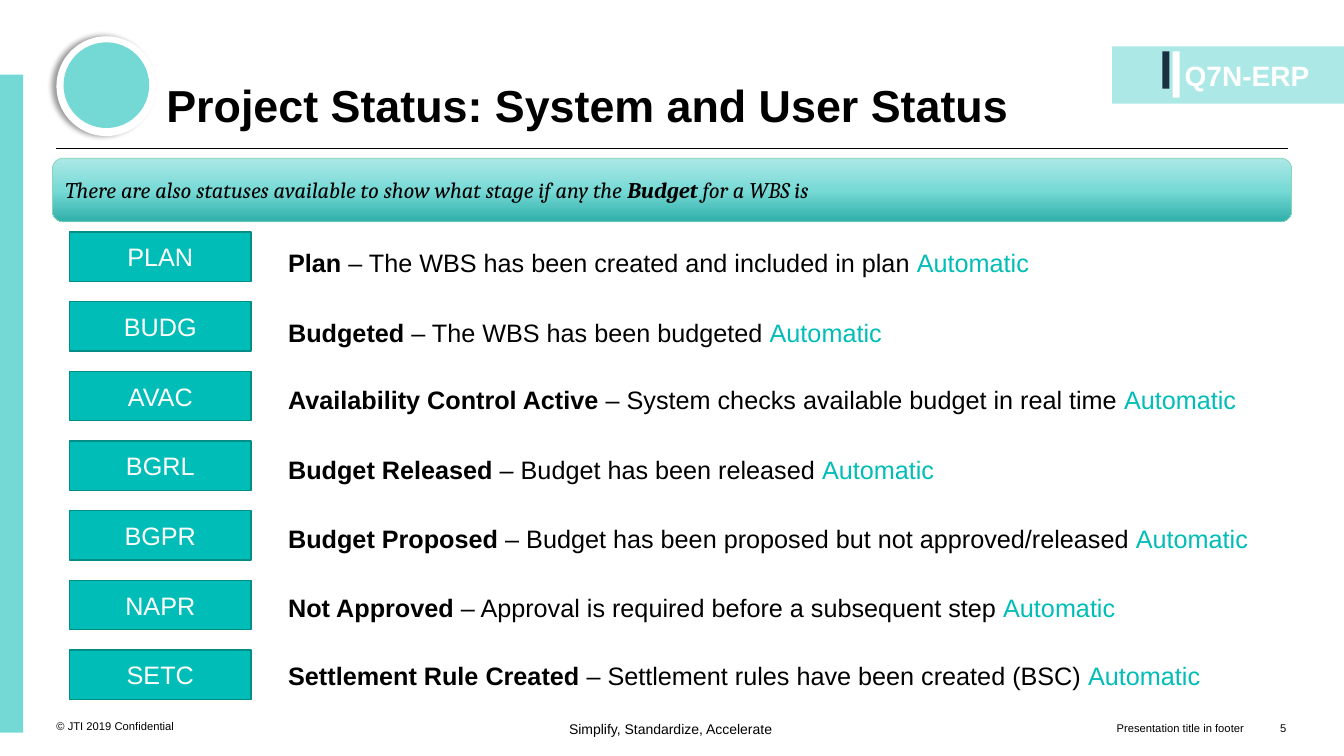
from lxml import etree
from pptx import Presentation
from pptx.dml.color import RGBColor
from pptx.enum import shapes, text
from pptx.oxml import parse_xml
from pptx.util import Inches, Pt

NS = 'xmlns:a="http://schemas.openxmlformats.org/drawingml/2006/main"'
MSO, ALIGN, ANCHOR = shapes.MSO_SHAPE, text.PP_ALIGN, text.MSO_ANCHOR
BLACK, WHITE, TEAL, AQUA, PALE = "000000", "FFFFFF", "00BDB7", "74D9D5", "ACE8E6"
rgb = RGBColor.from_string

prs = Presentation()
prs.slide_width, prs.slide_height = Inches(13.33), Inches(7.5)
s = prs.slides.add_slide(prs.slide_layouts[5])


def add_box(kind, at, fill, line=None, width=1):
    sp = s.shapes.add_shape(kind, *map(Inches, at))
    sp.shadow.inherit = False
    sp.fill.solid()
    sp.fill.fore_color.rgb = rgb(fill)
    if line:
        sp.line.color.rgb = rgb(line)
        sp.line.width = Pt(width)
    else:
        sp.line.fill.background()
    return sp


def write(sp, runs, size, align=ALIGN.LEFT, anchor=ANCHOR.TOP, inset=None, name="Arial"):
    """Fill a shape with one paragraph; each run is (text, format dict)."""
    tf = sp.text_frame
    tf.word_wrap, tf.vertical_anchor = True, anchor
    if inset is not None:
        for side in ("left", "top", "right", "bottom"):
            setattr(tf, f"margin_{side}", Inches(inset))
    p = tf.paragraphs[0]
    p.alignment = align
    for words, extra in runs:
        r = p.add_run()
        r.text = words
        fmt = {"name": name, "size": Pt(size), "bold": False, "italic": False,
               "color": BLACK, **extra}
        r.font.color.rgb = rgb(fmt.pop("color"))
        for key, value in fmt.items():
            setattr(r.font, key, value)
    return p


# Side bar and programme badge
add_box(MSO.RECTANGLE, (0, 0.74, 0.23, 6.53), AQUA)
add_box(MSO.RECTANGLE, (11.03, 0.46, 2.3, 0.57), PALE)
add_box(MSO.RECTANGLE, (11.53, 0.51, 0.07, 0.37), "1A3040")
add_box(MSO.ROUNDED_RECTANGLE, (11.63, 0.51, 0.07, 0.46), WHITE).adjustments[0] = 0.07

# Circle with a soft shadow on its left
ring = add_box(MSO.OVAL, (0.56, 0.36, 0.99, 0.99), WHITE)
effects = ring._element.spPr.find("{*}effectLst")
effects.append(parse_xml(
    f'<a:outerShdw {NS} blurRad="{Pt(4)}" dist="{Pt(3)}" dir="10800000" algn="r" rotWithShape="0">'
    '<a:srgbClr val="000000"><a:alpha val="40000"/></a:srgbClr></a:outerShdw>'))
add_box(MSO.OVAL, (0.63, 0.42, 0.85, 0.85), AQUA)

# Title and rule below it
title = s.shapes.title
for key, value in zip(("left", "top", "width", "height"), (1.65, 0.23, 9.74, 1.08)):
    setattr(title, key, Inches(value))
p = write(title, [("Project Status: System and User Status", {"bold": True})], 32,
          anchor=ANCHOR.BOTTOM, inset=0)
p.line_spacing = 0.9
title.text_frame.auto_size = text.MSO_AUTO_SIZE.NONE

rule = s.shapes.add_connector(shapes.MSO_CONNECTOR.STRAIGHT,
                              *map(Inches, (0.56, 1.47, 12.77, 1.47)))
rule.line.color.rgb = rgb(BLACK)
rule.line.width = Pt(0.75)
etree.SubElement(rule._element.spPr,
                 "{http://schemas.openxmlformats.org/drawingml/2006/main}effectLst")

# Badge label and footer
labels = [
    ((11.75, 0.58, 1.25, 0.5), "Q7N-ERP", 20, ALIGN.LEFT, ANCHOR.TOP,
     {"bold": True, "color": WHITE}),
    ((0.56, 6.87, 1.97, 0.4), "© JTI 2019 Confidential", 8, ALIGN.LEFT, ANCHOR.BOTTOM, {}),
    ((5.14, 7.15, 3.06, 0.3), "Simplify, Standardize, Accelerate ", 10, ALIGN.CENTER,
     ANCHOR.TOP, {}),
    ((7.74, 6.89, 4.6, 0.4), "Presentation title in footer", 8, ALIGN.RIGHT, ANCHOR.BOTTOM, {}),
    ((12.33, 6.89, 0.43, 0.4), "5", 8, ALIGN.RIGHT, ANCHOR.BOTTOM, {}),
]
for at, words, size, align, anchor, extra in labels:
    write(s.shapes.add_textbox(*map(Inches, at)), [(words, extra)], size, align, anchor, 0)

# Gradient banner
banner = add_box(MSO.ROUNDED_RECTANGLE, (0.52, 1.57, 12.29, 0.63), PALE, "88D5B8", 0.5)
stops = "".join(f'<a:gs pos="{pos}"><a:srgbClr val="{color}"/></a:gs>' for pos, color in
                ((0, PALE), (50000, "78DAD6"), (100000, "30AFAA")))
solid = banner._element.spPr.find("{*}solidFill")
solid.getparent().replace(solid, parse_xml(
    f'<a:gradFill {NS} rotWithShape="1"><a:gsLst>{stops}</a:gsLst>'
    '<a:lin ang="5400000" scaled="0"/></a:gradFill>'))
write(banner, [
    ("There are also statuses available to show what stage if any the ", {"italic": True}),
    ("Budget ", {"italic": True, "bold": True}),
    ("for a WBS is", {"italic": True}),
], 16, anchor=ANCHOR.MIDDLE, name="Cambria")

# Status rows: code, name, meaning, top of the description
statuses = [
    ("PLAN", "Plan", "The WBS has been created and included in plan", 2.4),
    ("BUDG", "Budgeted", "The WBS has been budgeted", 3.1),
    ("AVAC", "Availability Control Active", "System checks available budget in real time", 3.76),
    ("BGRL", "Budget Released", "Budget has been released", 4.46),
    ("BGPR", "Budget Proposed", "Budget has been proposed but not approved/released", 5.14),
    ("NAPR", "Not Approved", "Approval is required before a subsequent step", 5.83),
    ("SETC", "Settlement Rule Created", "Settlement rules have been created (BSC)", 6.5),
]
for i, (code, status, meaning, top) in enumerate(statuses):
    box = add_box(MSO.RECTANGLE, (0.69, 2.3 + i * 4.15 / 6, 1.8, 0.49), TEAL, "008C87")
    write(box, [(code, {"color": WHITE})], 18, ALIGN.CENTER, ANCHOR.MIDDLE)
    note = s.shapes.add_textbox(*map(Inches, (2.76, top, 10.22, 0.4)))
    write(note, [(f"{status} ", {"bold": True}), (f"– {meaning} ", {}),
                 ("Automatic", {"color": TEAL})], 18)

prs.save("out.pptx")
